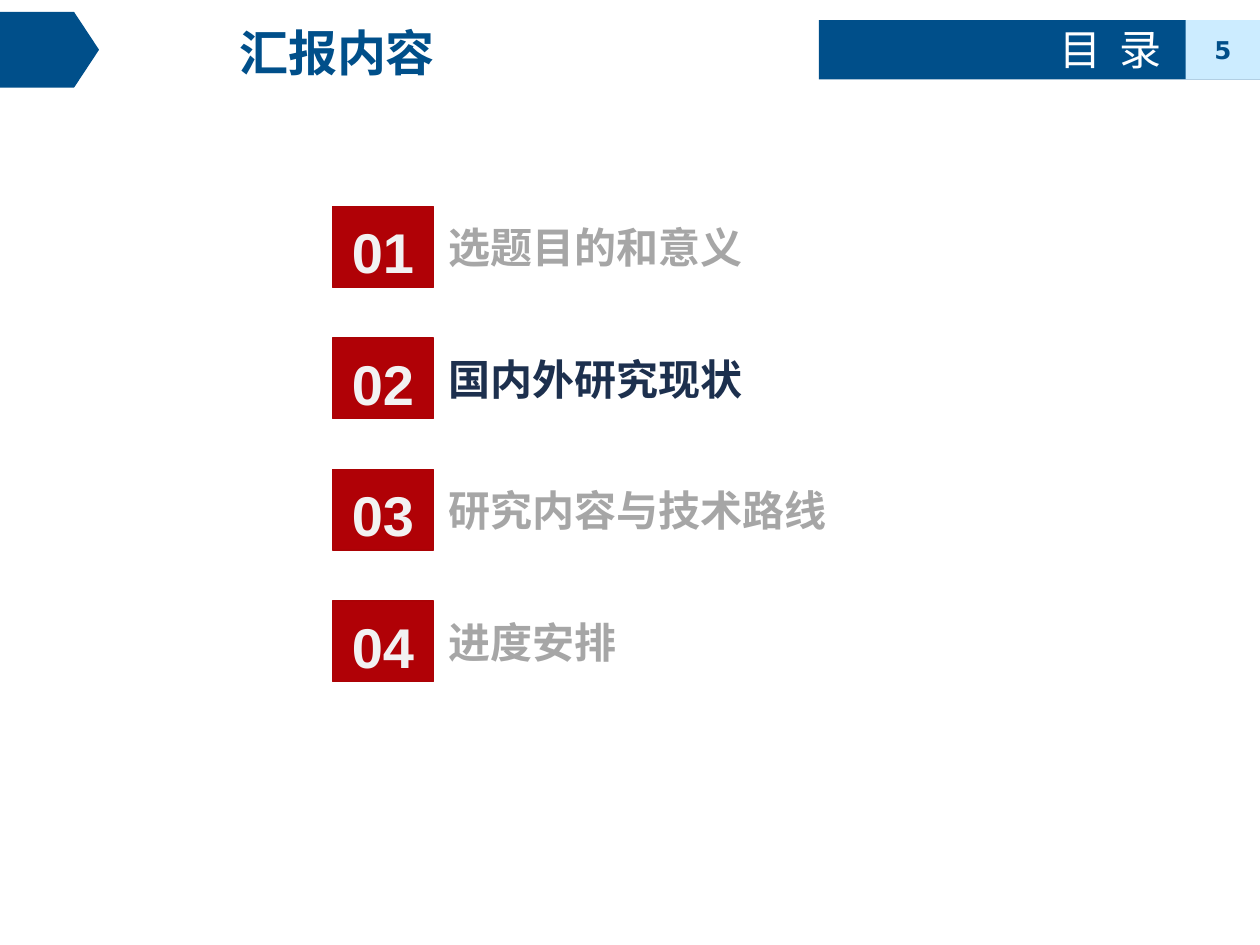
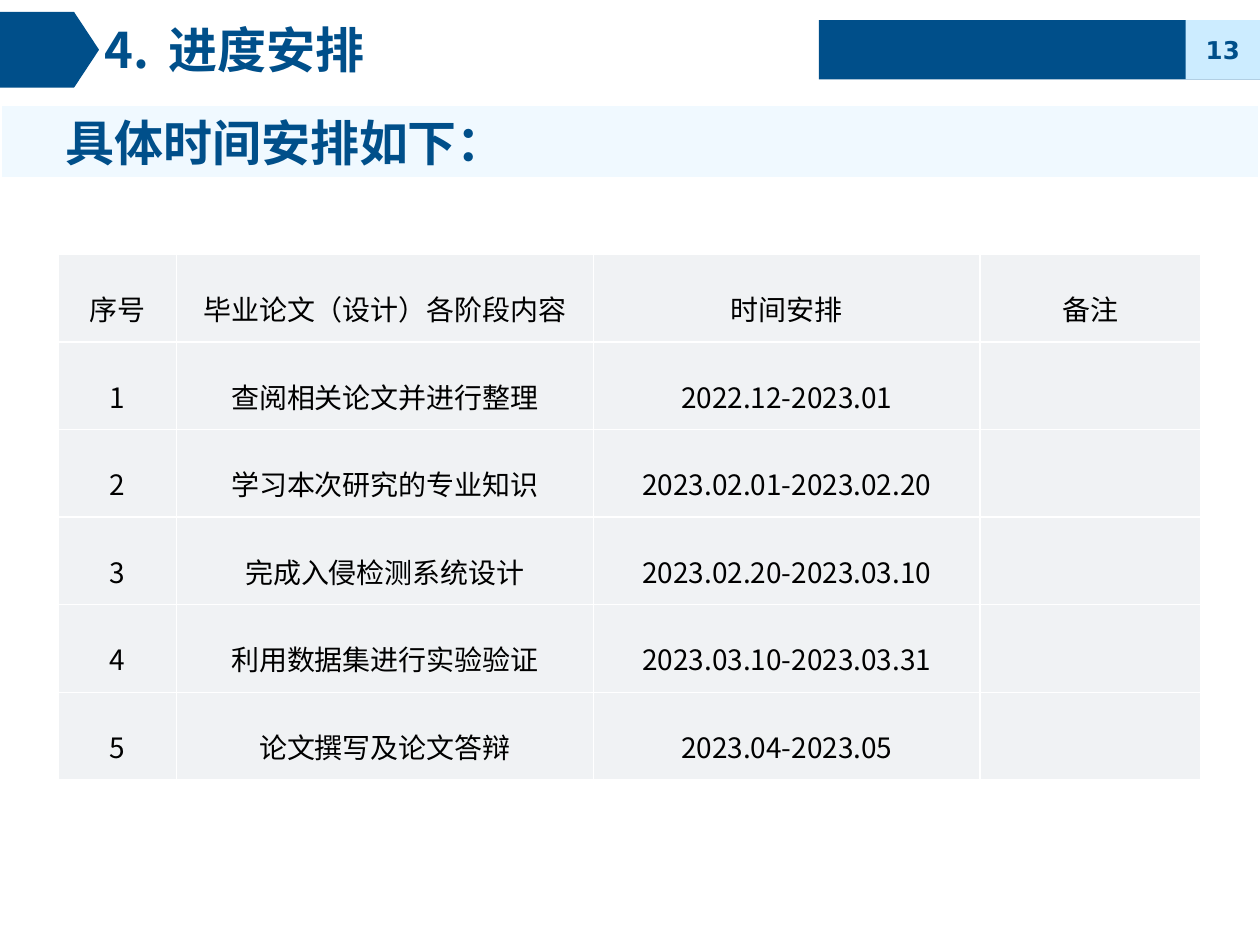
import pptx
import pptx.dml.color
import pptx.enum.shapes
import pptx.enum.text
import pptx.oxml.ns
import pptx.util
from lxml import etree

Inches = pptx.util.Inches
Pt = pptx.util.Pt
SHAPE = pptx.enum.shapes.MSO_SHAPE
ALIGN = pptx.enum.text.PP_ALIGN
MIDDLE = pptx.enum.text.MSO_ANCHOR.MIDDLE
qn = pptx.oxml.ns.qn

BLUE, PALE_BLUE, WHITE = "004F8A", "CCECFF", "FFFFFF"
RED, DARK_RED, NUMBER_GREY = "B00106", "AB0205", "F2F2F2"
ACTIVE, INACTIVE = "1D304E", "A6A6A6"
CELL_GREY, BLACK = "F0F2F4", "000000"
CJK = "Noto Sans CJK SC"
CELL_MARGINS = (0.07, 0.05, 0.07, 0.05)

TOPICS = ["选题目的和意义", "国内外研究现状", "研究内容与技术路线", "进度安排"]
SCHEDULE = [
    ["序号", "毕业论文（设计）各阶段内容", "时间安排", "备注"],
    ["1", "查阅相关论文并进行整理", "2022.12-2023.01", ""],
    ["2", "学习本次研究的专业知识", "2023.02.01-2023.02.20", ""],
    ["3", "完成入侵检测系统设计", "2023.02.20-2023.03.10", ""],
    ["4", "利用数据集进行实验验证", "2023.03.10-2023.03.31", ""],
    ["5", "论文撰写及论文答辩", "2023.04-2023.05", ""],
]


def rgb(color):
    """Turn a hex string into a colour."""
    return pptx.dml.color.RGBColor.from_string(color)


def add_run(p, text, size, color, bold=True, font=CJK, spacing=0):
    """Add one styled run, with extra letter spacing in points."""
    r = p.add_run()
    r.text = text
    r.font.size, r.font.bold, r.font.name = Pt(size), bold, font
    r.font.color.rgb = rgb(color)
    rpr = r.font._element
    etree.SubElement(rpr, qn("a:ea")).set("typeface", font)
    if spacing:
        rpr.set("spc", str(spacing * 100))


def set_margins(target, margins):
    """Set left, top, right and bottom margins of a text frame or cell."""
    (target.margin_left, target.margin_top,
     target.margin_right, target.margin_bottom) = map(Inches, margins)


def prepare_frame(sp, align, margins=(0.1, 0.05, 0.1, 0.05)):
    """Set up a wrapped, centred-in-height frame and return its paragraph."""
    tf = sp.text_frame
    tf.word_wrap = True
    tf.vertical_anchor = MIDDLE
    set_margins(tf, margins)
    p = tf.paragraphs[0]
    p.alignment = align
    return p


def add_box(slide, box, fill, line=None, width=0.75, kind=SHAPE.RECTANGLE):
    """Add a filled preset shape with an optional outline."""
    sp = slide.shapes.add_shape(kind, *map(Inches, box))
    sp.shadow.inherit = False
    sp.fill.solid()
    sp.fill.fore_color.rgb = rgb(fill)
    if line:
        sp.line.color.rgb = rgb(line)
        sp.line.width = Pt(width)
    else:
        sp.line.fill.background()
    return sp


def add_label(slide, box, align=ALIGN.LEFT):
    """Add a text box and return its empty paragraph."""
    return prepare_frame(slide.shapes.add_textbox(*map(Inches, box)), align)


def set_alpha(sp, percent):
    """Make a solid fill partly transparent."""
    color = sp._element.spPr.find(qn("a:solidFill"))[0]
    etree.SubElement(color, qn("a:alpha")).set("val", str(percent * 1000))


def add_base_slide(prs, number):
    """Add a slide with the header band, arrow and page number."""
    slide = prs.slides.add_slide(prs.slide_layouts[6])
    add_box(slide, (6.5, 0.16, 3.5, 0.47), BLUE)
    arrow = add_box(slide, (0, 0.1, 0.78, 0.59), BLUE, BLUE, kind=SHAPE.PENTAGON)
    arrow.adjustments[0] = 0.33
    page = add_box(slide, (9.41, 0.16, 0.59, 0.47), PALE_BLUE)
    add_run(prepare_frame(page, ALIGN.CENTER), number, 14, BLUE, font="DejaVu Sans")
    return slide


def add_topic(slide, top, number, topic, color):
    """Add a numbered red tile and its topic."""
    tile = add_box(slide, (2.64, top, 0.8, 0.64), RED, DARK_RED)
    p = prepare_frame(tile, ALIGN.CENTER, (0.1, 0.12, 0.1, 0.05))
    add_run(p, number, 32, NUMBER_GREY, font="Arial")
    add_run(add_label(slide, (3.46, top + 0.07, 5.93, 0.5)), topic, 24, color)


def set_borders(cell, color, width):
    """Draw all four borders of a cell."""
    tcpr = cell._tc.get_or_add_tcPr()
    for i, side in enumerate(("a:lnL", "a:lnR", "a:lnT", "a:lnB")):
        ln = etree.Element(qn(side), w=str(Pt(width)))
        fill = etree.SubElement(ln, qn("a:solidFill"))
        etree.SubElement(fill, qn("a:srgbClr")).set("val", color)
        tcpr.insert(i, ln)


def fill_cell(cell, text):
    """Style one schedule cell and write its text."""
    cell.fill.solid()
    cell.fill.fore_color.rgb = rgb(CELL_GREY)
    set_borders(cell, WHITE, 1)
    cell.vertical_anchor = MIDDLE
    set_margins(cell, CELL_MARGINS)
    if text:
        p = cell.text_frame.paragraphs[0]
        p.alignment = ALIGN.CENTER
        p.line_spacing = 1.5
        p.space_before = Pt(12)
        add_run(p, text, 16, BLACK, bold=False)


def add_schedule(slide, rows, widths):
    """Add the schedule table."""
    box = map(Inches, (0.46, 2.02, sum(widths), 4.17))
    table = slide.shapes.add_table(len(rows), len(widths), *box).table
    for column, width in zip(table.columns, widths):
        column.width = Inches(width)
    for i, row in enumerate(rows):
        for j, text in enumerate(row):
            fill_cell(table.cell(i, j), text)


def build_contents(prs):
    """Build the contents slide with the second topic highlighted."""
    slide = add_base_slide(prs, "5")
    add_run(add_label(slide, (1.3, 0.13, 2.75, 0.57), ALIGN.CENTER), "汇报内容", 28, BLUE)
    p = add_label(slide, (8.31, 0.14, 1.08, 0.5))
    add_run(p, "目", 24, WHITE, bold=False)
    add_run(p, " ", 24, WHITE, bold=False, spacing=5)
    add_run(p, "录", 24, WHITE, bold=False)
    first, last = 1.64, 4.77
    step = (last - first) / (len(TOPICS) - 1)
    for i, topic in enumerate(TOPICS):
        color = ACTIVE if i == 1 else INACTIVE
        add_topic(slide, first + i * step, f"{i + 1:02}", topic, color)


def build_schedule(prs):
    """Build the schedule slide."""
    slide = add_base_slide(prs, "13")
    p = add_label(slide, (0.73, 0.1, 5.7, 0.57))
    add_run(p, "4.", 28, BLUE)
    add_run(p, " ", 28, BLUE, spacing=5)
    add_run(p, "进度安排", 28, BLUE)
    band = add_box(slide, (0, 0.83, 10, 0.59), PALE_BLUE, WHITE, 2)
    set_alpha(band, 29)
    p = prepare_frame(band, ALIGN.LEFT, (0.52, 0, 0, 0))
    add_run(p, "具体时间安排如下：", 28, BLUE)
    add_schedule(slide, SCHEDULE, (0.94, 3.31, 3.07, 1.75))


def main():
    """Build and save the presentation."""
    prs = pptx.Presentation()
    prs.slide_width, prs.slide_height = Inches(10), Inches(7.5)
    build_contents(prs)
    build_schedule(prs)
    prs.save("out.pptx")


if __name__ == "__main__":
    main()
